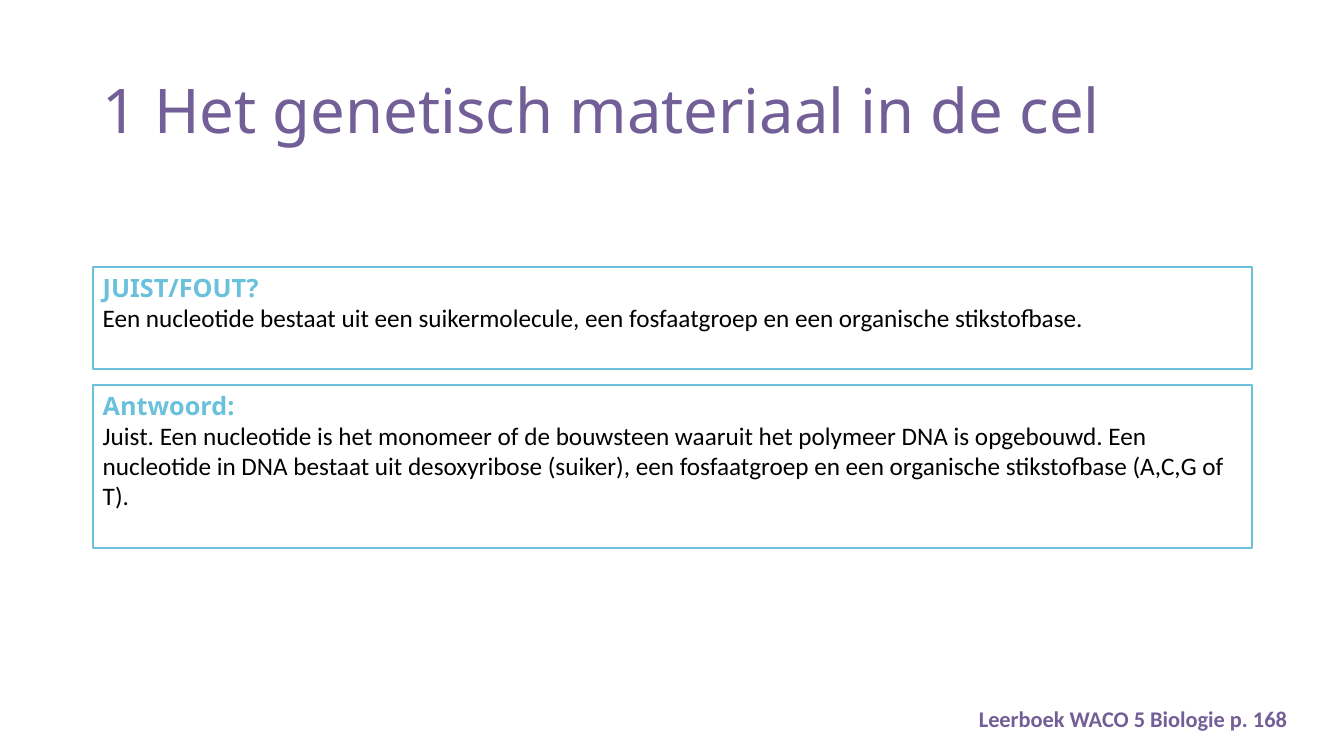
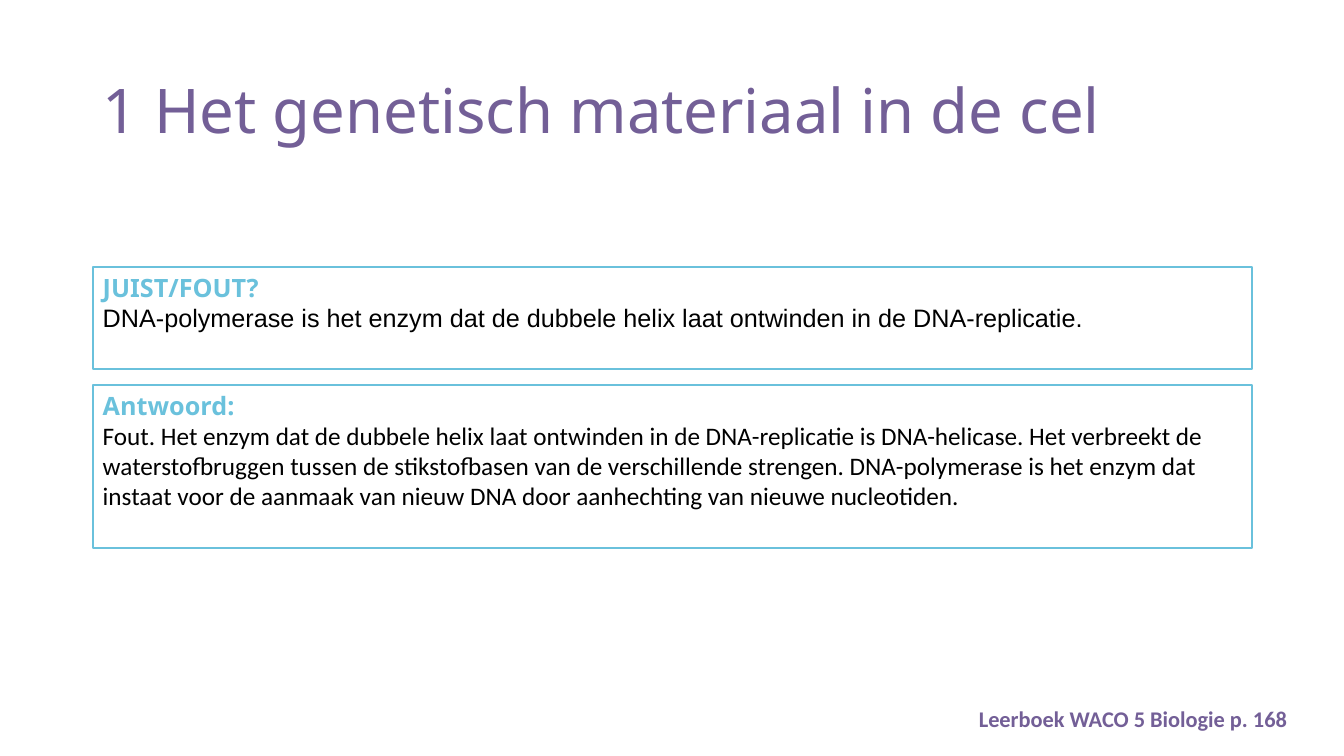
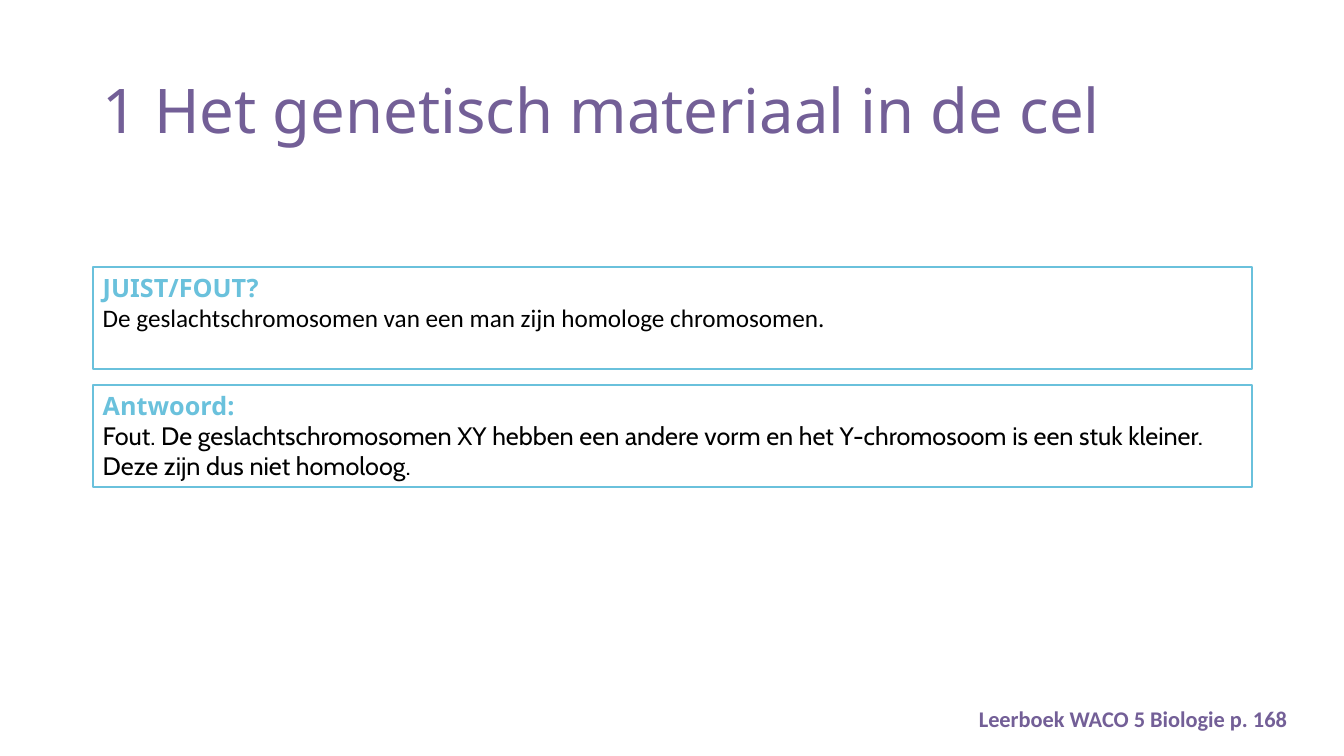
from pptx import Presentation
from pptx.dml.color import RGBColor
from pptx.enum.shapes import MSO_SHAPE
from pptx.enum.text import MSO_ANCHOR, MSO_AUTO_SIZE, PP_ALIGN
from pptx.util import Cm, Pt

COLORS = {"purple": "735F97", "blue": "6AC1DC", "black": "000000"}
TITLE = "1 Het genetisch materiaal in de cel"
FOOTER = "Leerboek WACO 5 Biologie p. 168"
LEFT, WIDTH = Cm(2.34), Cm(29.21)
SHORT, TALL = Cm(2.57), Cm(4.11)

# Per slide: statement, its font, answer, its font, height of the answer box
QUESTIONS = [
    ("Een nucleotide bestaat uit een suikermolecule, een fosfaatgroep en een "
     "organische stikstofbase.", "Calibri",
     "Juist. Een nucleotide is het monomeer of de bouwsteen waaruit het polymeer "
     "DNA is opgebouwd. Een nucleotide in DNA bestaat uit desoxyribose (suiker), "
     "een fosfaatgroep en een organische stikstofbase (A,C,G of T).", "Calibri", TALL),
    ("DNA-polymerase is het enzym dat de dubbele helix laat ontwinden in de "
     "DNA-replicatie.", "Arial",
     "Fout. Het enzym dat de dubbele helix laat ontwinden in de DNA-replicatie is "
     "DNA-helicase. Het verbreekt de waterstofbruggen tussen de stikstofbasen van "
     "de verschillende strengen. DNA-polymerase is het enzym dat instaat voor de "
     "aanmaak van nieuw DNA door aanhechting van nieuwe nucleotiden.", "Calibri", TALL),
    ("De geslachtschromosomen van een man zijn homologe chromosomen.", "Calibri",
     "Fout. De geslachtschromosomen XY hebben een andere vorm en het Y-chromosoom "
     "is een stuk kleiner. Deze zijn dus niet homoloog.", "Cabin", SHORT),
]


def add_run(p, text, size, font, color, bold=False, align=PP_ALIGN.LEFT):
    p.alignment = align
    r = p.add_run()
    r.text = text
    r.font.size = Pt(size)
    r.font.name = font
    r.font.bold = bold
    r.font.color.rgb = RGBColor.from_string(COLORS[color])


def add_box(s, top, height, heading, text, font):
    sp = s.shapes.add_shape(MSO_SHAPE.RECTANGLE, LEFT, top, WIDTH, height)
    sp.shadow.inherit = False
    sp.fill.background()
    sp.line.color.rgb = RGBColor.from_string(COLORS["blue"])
    sp.line.width = Pt(1)
    tf = sp.text_frame
    tf.word_wrap = True
    tf.vertical_anchor = MSO_ANCHOR.TOP
    add_run(tf.paragraphs[0], heading, 18, "Noto Sans", "blue", bold=True)
    add_run(tf.add_paragraph(), text, 18, font, "black")


prs = Presentation()
prs.slide_width, prs.slide_height = Cm(33.87), Cm(19.05)

for statement, statement_font, answer, answer_font, answer_height in QUESTIONS:
    s = prs.slides.add_slide(prs.slide_layouts[5])

    # Title
    title = s.shapes.title
    title.left, title.top, title.width, title.height = LEFT, Cm(1.02), WIDTH, Cm(3.68)
    tf = title.text_frame
    tf.auto_size = MSO_AUTO_SIZE.NONE
    tf.vertical_anchor = MSO_ANCHOR.MIDDLE
    p = tf.paragraphs[0]
    p.line_spacing = 0.9
    add_run(p, TITLE, 44, "Noto Sans", "purple")

    # Statement and answer
    add_box(s, Cm(6.73), SHORT, "JUIST/FOUT?", statement, statement_font)
    add_box(s, Cm(9.7), answer_height, "Antwoord:", answer, answer_font)

    # Footer
    tf = s.shapes.add_textbox(Cm(15.75), Cm(17.65), Cm(16.94), Cm(0.94)).text_frame
    tf.word_wrap = True
    add_run(tf.paragraphs[0], FOOTER, 16, "Calibri", "purple", bold=True,
            align=PP_ALIGN.RIGHT)

prs.save("out.pptx")
